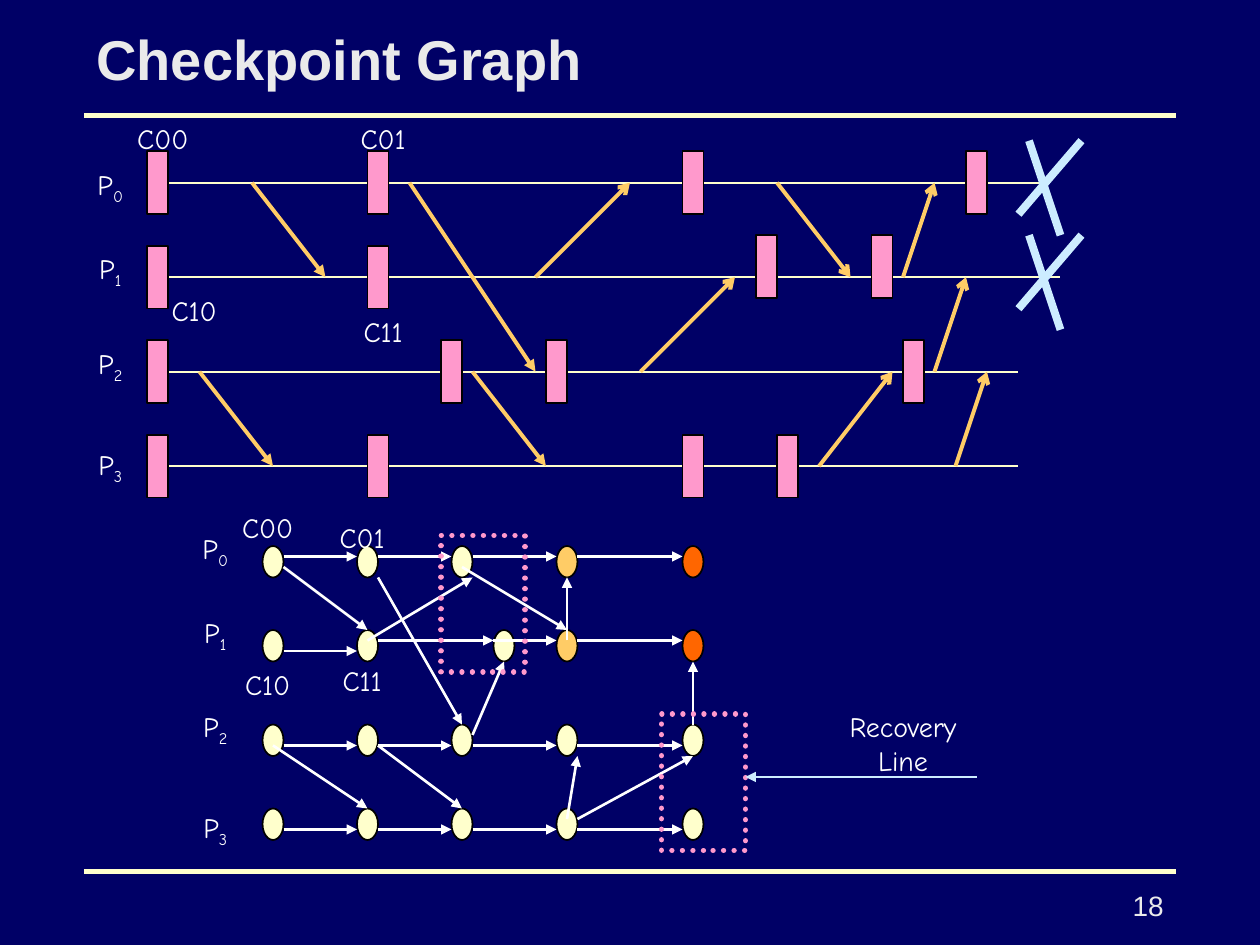
"""Build the Checkpoint Graph slide: process timelines above, their checkpoint graph below."""
from lxml.etree import SubElement
from pptx import Presentation
from pptx.dml.color import RGBColor
from pptx.enum.dml import MSO_LINE
from pptx.enum.shapes import MSO_CONNECTOR, MSO_SHAPE
from pptx.enum.text import MSO_ANCHOR, PP_ALIGN
from pptx.oxml.ns import qn
from pptx.util import Pt

NAVY = RGBColor(0x00, 0x00, 0x66)
CREAM = RGBColor(0xFF, 0xFF, 0xCC)
GREY = RGBColor(0xEA, 0xEA, 0xEA)
WHITE = RGBColor(0xFF, 0xFF, 0xFF)
BLACK = RGBColor(0x00, 0x00, 0x00)
PINK = RGBColor(0xFF, 0x99, 0xCC)
ICE = RGBColor(0xCC, 0xEC, 0xFF)
AMBER = RGBColor(0xFF, 0xCC, 0x66)
ORANGE = RGBColor(0xFF, 0x66, 0x00)

LABEL = {"name": "Comic Neue", "size": Pt(16), "bold": False}
TITLE = {"name": "Arial", "size": Pt(32), "bold": True}
NUMBER = {"name": "Arial", "size": Pt(16), "bold": False}

LANE_Y = [104.4 + 54 * i for i in range(4)]
LANE_END = [600, 606, 582, 582]
CHECKPOINTS = [
    [(84, 0), (210, 0), (390, 0), (552, 0)],
    [(84, 0), (210, 0), (432, -6), (498, -6)],
    [(84, 0), (252, 0), (312, 0), (516, 0)],
    [(84, 0), (210, 0), (390, 0), (444, 0)],
]
MESSAGES = {
    "triangle": [(144, 0, 186, 1), (114, 2, 156, 3), (270, 2, 312, 3), (234, 0, 306, 2)],
    "arrow": [(444, 0, 486, 1), (306, 1, 360, 0), (366, 2, 420, 1), (468, 3, 510, 2),
              (516, 1, 534, 0), (534, 2, 552, 1), (546, 3, 564, 2)],
}
NODE_X = [150, 204, 258, 318, 390]
NODE_ROWS = [
    (312, NODE_X, [CREAM] * 3 + [AMBER, ORANGE]),
    (360, [150, 204, 282, 318, 390], [CREAM] * 3 + [AMBER, ORANGE]),
    (414, NODE_X, [CREAM] * 5),
    (462, NODE_X, [CREAM] * 5),
]
STEPS = [(162, 204), (216, 258), (270, 318), (330, 390)]
STEP_ROWS = [
    (318, STEPS),
    (372, STEPS[:1]),
    (366, [(216, 282), (282, 318), (330, 390)]),
    (426, STEPS),
    (474, STEPS),
]
CROSS_EDGES = [
    (324, 366, 324, 330), (264, 324, 324, 360), (210, 366, 270, 330),
    (216, 330, 264, 414), (216, 426, 264, 462), (156, 426, 210, 462),
    (162, 324, 210, 360), (324, 468, 330, 432), (270, 420, 288, 378),
    (330, 468, 396, 432), (396, 414, 396, 378),
]
PROCESS_LABELS = [(42, [92.4, 140.4, 194.4, 252]), (102, [300, 348, 402, 459.6])]
STATE_LABELS = [
    ("C00", 60, 66), ("C01", 186, 66), ("C11", 186, 176.4), ("C10", 78, 164.4),
    ("C00", 120, 288), ("C10", 120, 378), ("C01", 174, 294), ("C11", 174, 375.6),
]


def add_line(s, ends, color, width, head=None):
    """Draw a straight line, with an arrowhead at its end if one is named."""
    c = s.shapes.add_connector(MSO_CONNECTOR.STRAIGHT, *(Pt(v) for v in ends))
    c.line.color.rgb = color
    c.line.width = Pt(width)
    spPr = c._element.spPr
    if head:
        SubElement(spPr.find(qn("a:ln")), qn("a:tailEnd"), type=head)
    SubElement(spPr, qn("a:effectLst"))


def add_figure(s, kind, box, fill, color=BLACK, width=1):
    """Draw an outlined preset shape, hollow when fill is None."""
    sp = s.shapes.add_shape(kind, *(Pt(v) for v in box))
    sp.shadow.inherit = False
    if fill is None:
        sp.fill.background()
    else:
        sp.fill.solid()
        sp.fill.fore_color.rgb = fill
    sp.line.color.rgb = color
    sp.line.width = Pt(width)
    return sp


def add_text(s, text, box, font=LABEL, color=WHITE, align=PP_ALIGN.CENTER,
             anchor=MSO_ANCHOR.TOP, sub=""):
    """Write one paragraph, with an optional subscript after it."""
    tf = s.shapes.add_textbox(*(Pt(v) for v in box)).text_frame
    for key, value in {"word_wrap": True, "vertical_anchor": anchor}.items():
        setattr(tf, key, value)
    p = tf.paragraphs[0]
    p.alignment = align
    for part in filter(None, (text, sub)):
        r = p.add_run()
        r.text = part
        for key, value in font.items():
            setattr(r.font, key, value)
        r.font.color.rgb = color
    if sub:
        r._r.get_or_add_rPr().set("baseline", "-25000")


def add_frame(s):
    """Add the title, the two rules and the slide number."""
    for y in (66, 498):
        add_line(s, (48, y, 672, y), CREAM, 3)
    add_text(s, "18", (594, 504, 78, 24), NUMBER, GREY, PP_ALIGN.RIGHT)
    add_text(s, "Checkpoint Graph", (48, 12, 624, 42), TITLE, GREY,
             PP_ALIGN.LEFT, MSO_ANCHOR.MIDDLE)


def add_timelines(s):
    """Draw the lanes, checkpoints, failures and messages."""
    for y, end, marks in zip(LANE_Y, LANE_END, CHECKPOINTS):
        add_line(s, (84, y, end, y), CREAM, 1)
        for x, dy in marks:
            add_figure(s, MSO_SHAPE.RECTANGLE, (x, y - 18 + dy, 12, 36), PINK)
    for y in LANE_Y[:2]:
        add_line(s, (588, y - 24, 606, y + 30), ICE, 4.5)
        add_line(s, (618, y - 24, 582, y + 18), ICE, 4.5)
    for head, messages in MESSAGES.items():
        for x1, a, x2, b in messages:
            add_line(s, (x1, LANE_Y[a], x2, LANE_Y[b]), AMBER, 2.25, head)


def add_graph(s):
    """Draw the checkpoint nodes and the edges between them."""
    for y, xs, fills in NODE_ROWS:
        for x, fill in zip(xs, fills):
            add_figure(s, MSO_SHAPE.OVAL, (x, y, 12, 18), fill)
    steps = [(x1, y, x2, y) for y, row in STEP_ROWS for x1, x2 in row]
    for ends in steps + CROSS_EDGES:
        add_line(s, ends, WHITE, 1.5, "triangle")


def add_recovery_line(s):
    """Outline the recovery line and point to it."""
    for x, y in ((378, 408), (252, 306)):
        sp = add_figure(s, MSO_SHAPE.RECTANGLE, (x, y, 48, 78), None, PINK, 3)
        sp.line.dash_style = MSO_LINE.ROUND_DOT
        sp._element.spPr.find(qn("a:ln")).set("cap", "rnd")
    add_line(s, (558, 444, 426, 444), ICE, 1.5, "triangle")
    add_text(s, "Recovery Line", (474, 402, 84, 46))


def add_labels(s):
    """Name the processes and the first checkpoints in both diagrams."""
    for x, ys in PROCESS_LABELS:
        for i, y in enumerate(ys):
            add_text(s, "P", (x, y, 42, 29.5), sub=str(i))
    for text, x, y in STATE_LABELS:
        add_text(s, text, (x, y, 66, 26.5))


def main():
    """Build and save the slide."""
    prs = Presentation()
    prs.slide_width, prs.slide_height = Pt(720), Pt(540)
    s = prs.slides.add_slide(prs.slide_layouts[6])
    s.background.fill.solid()
    s.background.fill.fore_color.rgb = NAVY
    for add_part in (add_frame, add_timelines, add_graph, add_recovery_line, add_labels):
        add_part(s)
    prs.save("out.pptx")


if __name__ == "__main__":
    main()
